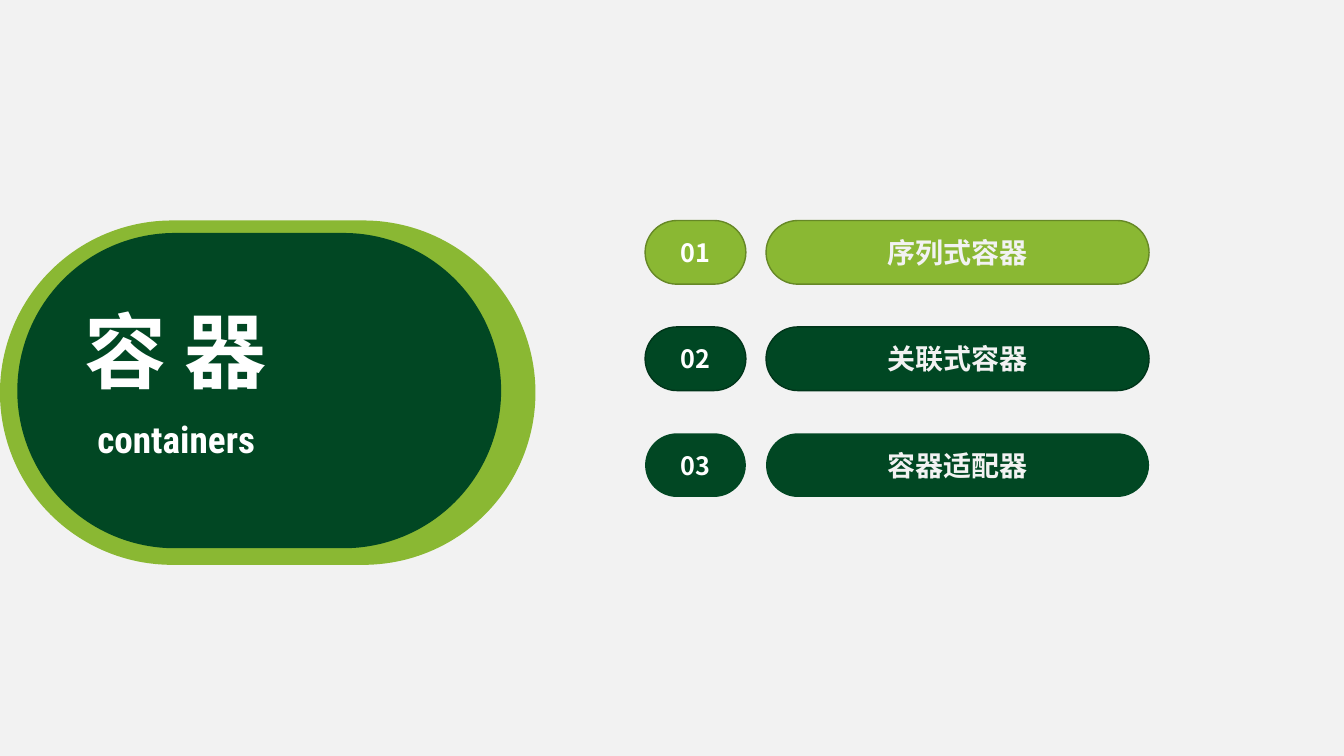
import pptx
import pptx.dml.color
import pptx.enum.shapes
import pptx.enum.text
import pptx.oxml
import pptx.oxml.ns
import pptx.util
from lxml import etree

Pt = pptx.util.Pt

COLORS = {
    "background": "F2F2F2",
    "lime": "8AB833",
    "lime_edge": "668826",
    "forest": "014723",
    "pine": "004723",
    "pine_edge": "00351A",
    "white": "FFFFFF",
}
CJK_FONT = "Noto Sans CJK SC"
LATIN_FONT = "Roboto Condensed"

# number, label, fill, outline
CHAPTERS = [
    ("01", "序列式容器", "lime", "lime_edge"),
    ("02", "关联式容器", "pine", "pine_edge"),
    ("03", "容器适配器", "forest", None),
]
ROW_TOP, ROW_STEP, ROW_HEIGHT = 157.5, 76, 45.5


def rgb(name):
    return pptx.dml.color.RGBColor.from_string(COLORS[name])


def write_text(shape, text, size, color, font_name):
    text_frame = shape.text_frame
    text_frame.text = text
    paragraph = text_frame.paragraphs[0]
    paragraph.alignment = pptx.enum.text.PP_ALIGN.CENTER
    run = paragraph.runs[0]
    run.font.size = Pt(size)
    run.font.bold = True
    run.font.color.rgb = rgb(color)
    run.font.name = font_name
    # East Asian characters take their typeface from a:ea
    properties = run.font._element
    east_asian = etree.SubElement(properties, pptx.oxml.ns.qn("a:ea"))
    east_asian.set("typeface", font_name)


def add_pill(slide, left, top, width, height, fill, edge=None):
    shape = slide.shapes.add_shape(
        pptx.enum.shapes.MSO_SHAPE.ROUNDED_RECTANGLE,
        Pt(left), Pt(top), Pt(width), Pt(height))
    shape.adjustments[0] = 0.5
    shape.shadow.inherit = False
    shape.fill.solid()
    shape.fill.fore_color.rgb = rgb(fill)
    if edge:
        shape.line.color.rgb = rgb(edge)
        shape.line.width = Pt(1)
    else:
        shape.line.fill.background()
    shape.text_frame.vertical_anchor = pptx.enum.text.MSO_ANCHOR.MIDDLE
    return shape


def add_heading(slide, left, top, width, height, text, size, font_name):
    shape = slide.shapes.add_textbox(Pt(left), Pt(top), Pt(width), Pt(height))
    shape.text_frame.word_wrap = False
    shape.text_frame.auto_size = pptx.enum.text.MSO_AUTO_SIZE.SHAPE_TO_FIT_TEXT
    write_text(shape, text, size, "white", font_name)


def add_chapter(slide, top, number, label, fill, edge):
    number_pill = add_pill(slide, 460.8, top, 72, ROW_HEIGHT, fill, edge)
    write_text(number_pill, number, 18, "white", CJK_FONT)
    label_pill = add_pill(slide, 547.2, top, 273.6, ROW_HEIGHT, fill, edge)
    write_text(label_pill, label, 20, "background", CJK_FONT)


def main():
    presentation = pptx.Presentation()
    presentation.slide_width = Pt(960)
    presentation.slide_height = Pt(540)
    slide = presentation.slides.add_slide(presentation.slide_layouts[6])
    slide.background.fill.solid()
    slide.background.fill.fore_color.rgb = rgb("background")

    # Title badge
    add_pill(slide, 0, 157.5, 382.5, 246, "lime")
    add_pill(slide, 12.4, 166.4, 345.6, 225.2, "forest")
    add_heading(slide, 51, 293.8, 150, 39.6, "containers", 26.6, LATIN_FONT)
    add_heading(slide, 51, 211, 149, 78.5, "容 器", 58.6, CJK_FONT)

    # Chapter list
    for index, chapter in enumerate(CHAPTERS):
        add_chapter(slide, ROW_TOP + index * ROW_STEP, *chapter)

    presentation.save("out.pptx")


if __name__ == "__main__":
    main()
